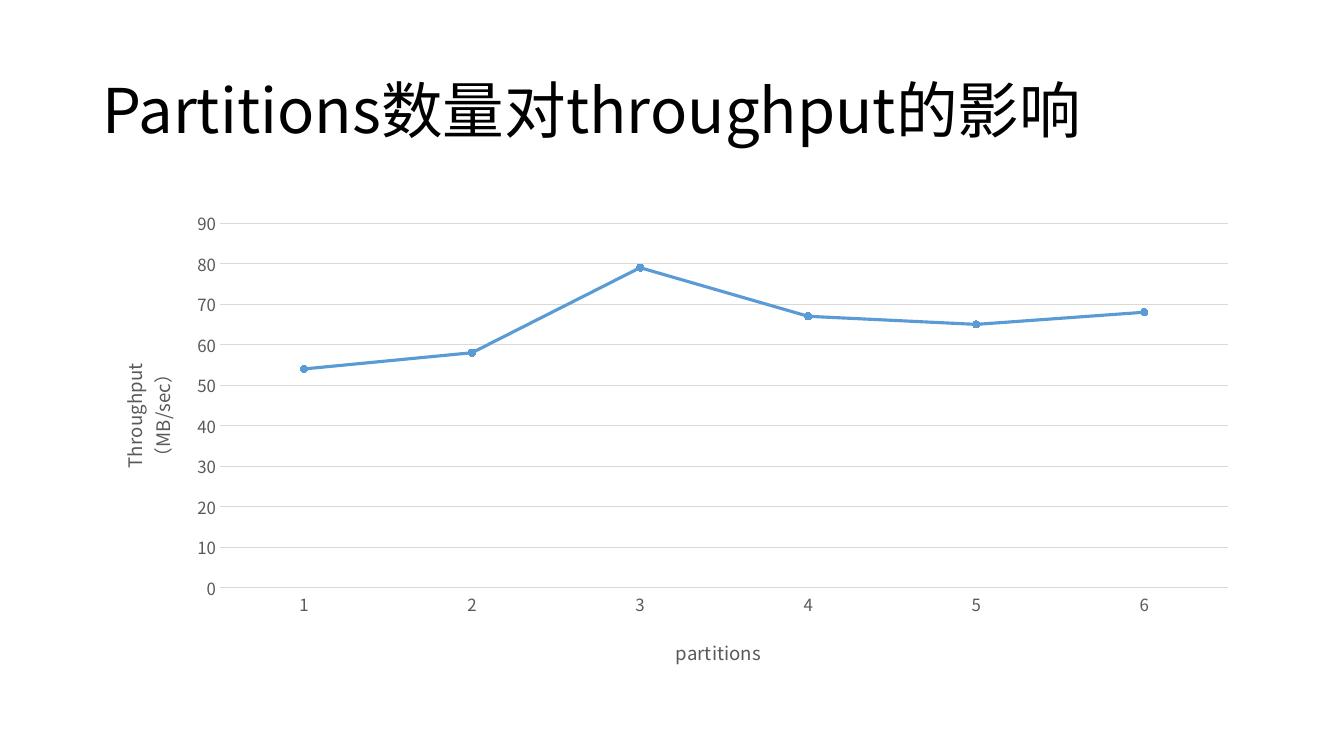
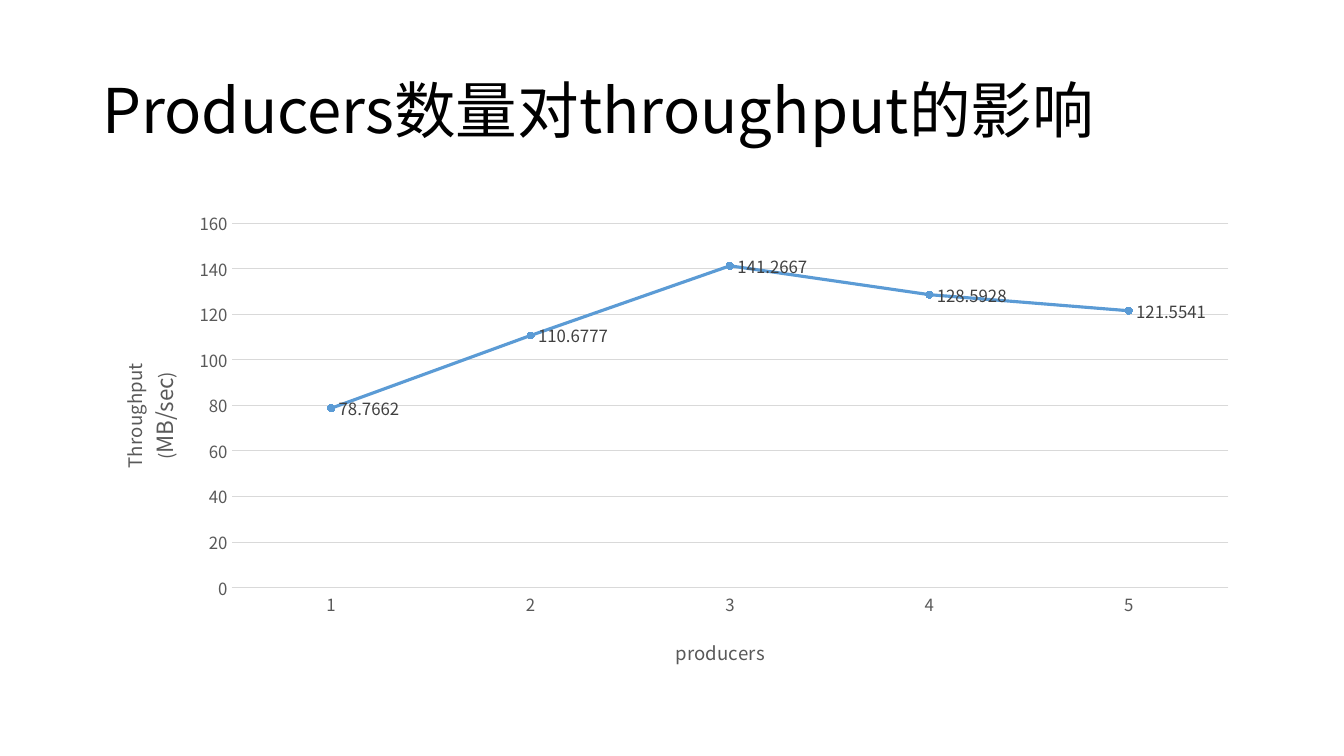
from dataclasses import dataclass
from lxml import etree
from pptx import Presentation
from pptx.chart.data import CategoryChartData
from pptx.dml.color import RGBColor
from pptx.enum.chart import XL_CHART_TYPE, XL_LABEL_POSITION, XL_MARKER_STYLE, XL_TICK_MARK
from pptx.enum.text import MSO_ANCHOR
from pptx.oxml.ns import qn
from pptx.util import Inches, Pt

LINE_MARKERS = XL_CHART_TYPE.LINE_MARKERS
CIRCLE = XL_MARKER_STYLE.CIRCLE
NO_TICK = XL_TICK_MARK.NONE
RIGHT = XL_LABEL_POSITION.RIGHT
MIDDLE = MSO_ANCHOR.MIDDLE


@dataclass(frozen=True)
class Theme:
    font: str = "Noto Sans CJK SC"
    ink: str = "000000"
    axis: str = "595959"
    label: str = "404040"
    grid: str = "D9D9D9"
    accent: str = "5B9BD5"
    title_size: float = 44
    axis_title_size: float = 13.3
    unit_size: float = 16
    tick_size: float = 12
    grid_width: float = 0.75
    line_width: float = 2.25
    marker_size: int = 5


T = Theme()
SIZE = (Inches(13.33), Inches(7.5))
COLS, ROWS = 160, 90
TITLE_BOX = (11, 4.8, 138, 17.4)
CHART_BOX = (11, 24, 138, 57.1)
SMALL = T.axis_title_size

SLIDES = [
    {
        "title": "Partitions数量对throughput的影响",
        "cat_title": [[("partitions", SMALL)]],
        "val_title": [[("Throughput", SMALL)], [("（MB/sec）", SMALL)]],
        "values": (54, 58, 79, 67, 65, 68),
        "plot_left": 0.11,
        "top": 90,
        "step": 10,
        "labels": False,
    },
    {
        "title": "Producers数量对throughput的影响",
        "cat_title": [[("producers", SMALL)]],
        "val_title": [[("Throughput", SMALL)],
                      [("(", SMALL), ("MB/sec", T.unit_size), (")", SMALL)]],
        "values": (78.7662, 110.6777, 141.2667, 128.5928, 121.5541),
        "plot_left": 0.12,
        "top": 160,
        "step": 20,
        "labels": True,
    },
]


def place(box):
    w, h = SIZE
    x, y, cx, cy = box
    return [int(v) for v in (x * w / COLS, y * h / ROWS, cx * w / COLS, cy * h / ROWS)]


def apply(obj, values):
    for name, value in values.items():
        setattr(obj, name, value)


def style_font(font, size, color):
    apply(font, {"name": T.font, "size": Pt(size), "bold": False})
    font.color.rgb = RGBColor.from_string(color)


def style_line(line, color, width):
    line.color.rgb = RGBColor.from_string(color)
    line.width = Pt(width)


def add_east_asian_font(element):
    for latin in list(element.iter(qn("a:latin"))):
        ea = etree.Element(qn("a:ea"), typeface=T.font)
        latin.addnext(ea)


def set_layout(parent, index, values):
    for old in parent.findall(qn("c:layout")):
        parent.remove(old)
    layout = etree.Element(qn("c:layout"))
    manual = etree.SubElement(layout, qn("c:manualLayout"))
    for name, value in values.items():
        etree.SubElement(manual, qn(f"c:{name}"), val=str(value))
    parent.insert(index, layout)


def add_title(s, box, text):
    tf = s.shapes.add_textbox(*place(box)).text_frame
    apply(tf, {"word_wrap": True, "vertical_anchor": MIDDLE})
    p = tf.paragraphs[0]
    p.line_spacing = 0.9
    r = p.add_run()
    r.text = text
    style_font(r.font, T.title_size, T.ink)
    add_east_asian_font(p._p)


def add_axis_title(axis, lines, x, y, rotation):
    title = axis.axis_title
    tf = title.text_frame
    for i, line in enumerate(lines):
        p = tf.add_paragraph() if i else tf.paragraphs[0]
        for text, size in line:
            r = p.add_run()
            r.text = text
            style_font(r.font, size, T.axis)
    body = title.element.find(f".//{qn('a:bodyPr')}")
    body.set("rot", str(rotation))
    body.set("vert", "horz")
    set_layout(title.element, 1, {"xMode": "edge", "yMode": "edge", "x": x, "y": y})


def style_axes(chart, data):
    cat, val = chart.category_axis, chart.value_axis
    for axis in (cat, val):
        apply(axis, {"major_tick_mark": NO_TICK, "minor_tick_mark": NO_TICK})
        style_font(axis.tick_labels.font, T.tick_size, T.axis)
    style_line(cat.format.line, T.grid, T.grid_width)
    val.format.line.fill.background()
    apply(val, {"minimum_scale": 0, "maximum_scale": data["top"],
                "major_unit": data["step"], "has_major_gridlines": True})
    style_line(val.major_gridlines.format.line, T.grid, T.grid_width)
    add_axis_title(cat, data["cat_title"], 0.5, 0.9, 0)
    add_axis_title(val, data["val_title"], 0.02, 0.33, -5400000)


def style_series(plot, labelled):
    series = plot.series[0]
    series.smooth = False
    style_line(series.format.line, T.accent, T.line_width)
    marker = series.marker
    apply(marker, {"style": CIRCLE, "size": T.marker_size})
    marker.format.fill.solid()
    marker.format.fill.fore_color.rgb = RGBColor.from_string(T.accent)
    style_line(marker.format.line, T.accent, T.grid_width)
    if labelled:
        labels = series.data_labels
        apply(labels, {"show_value": True, "position": RIGHT})
        style_font(labels.font, T.tick_size, T.label)


def add_throughput_chart(s, box, data):
    values = data["values"]
    cd = CategoryChartData()
    cd.categories = [str(i + 1) for i in range(len(values))]
    cd.add_series("Series 1", values)
    chart = s.shapes.add_chart(LINE_MARKERS, *place(box), cd).chart
    apply(chart, {"has_legend": False, "has_title": False})
    style_font(chart.font, 10, T.ink)
    plot = chart.plots[0]
    plot.vary_by_categories = False
    style_axes(chart, data)
    style_series(plot, data["labels"])
    left = data["plot_left"]
    set_layout(chart.element.find(f".//{qn('c:plotArea')}"), 0, {
        "layoutTarget": "inner", "xMode": "edge", "yMode": "edge",
        "x": left, "y": 0.045, "w": round(0.98 - left, 2), "h": 0.76})
    add_east_asian_font(chart.element)


def add_chart_slide(prs, data):
    s = prs.slides.add_slide(prs.slide_layouts[6])
    add_title(s, TITLE_BOX, data["title"])
    add_throughput_chart(s, CHART_BOX, data)


def main():
    prs = Presentation()
    prs.slide_width, prs.slide_height = SIZE
    for data in SLIDES:
        add_chart_slide(prs, data)
    prs.save("out.pptx")


if __name__ == "__main__":
    main()
